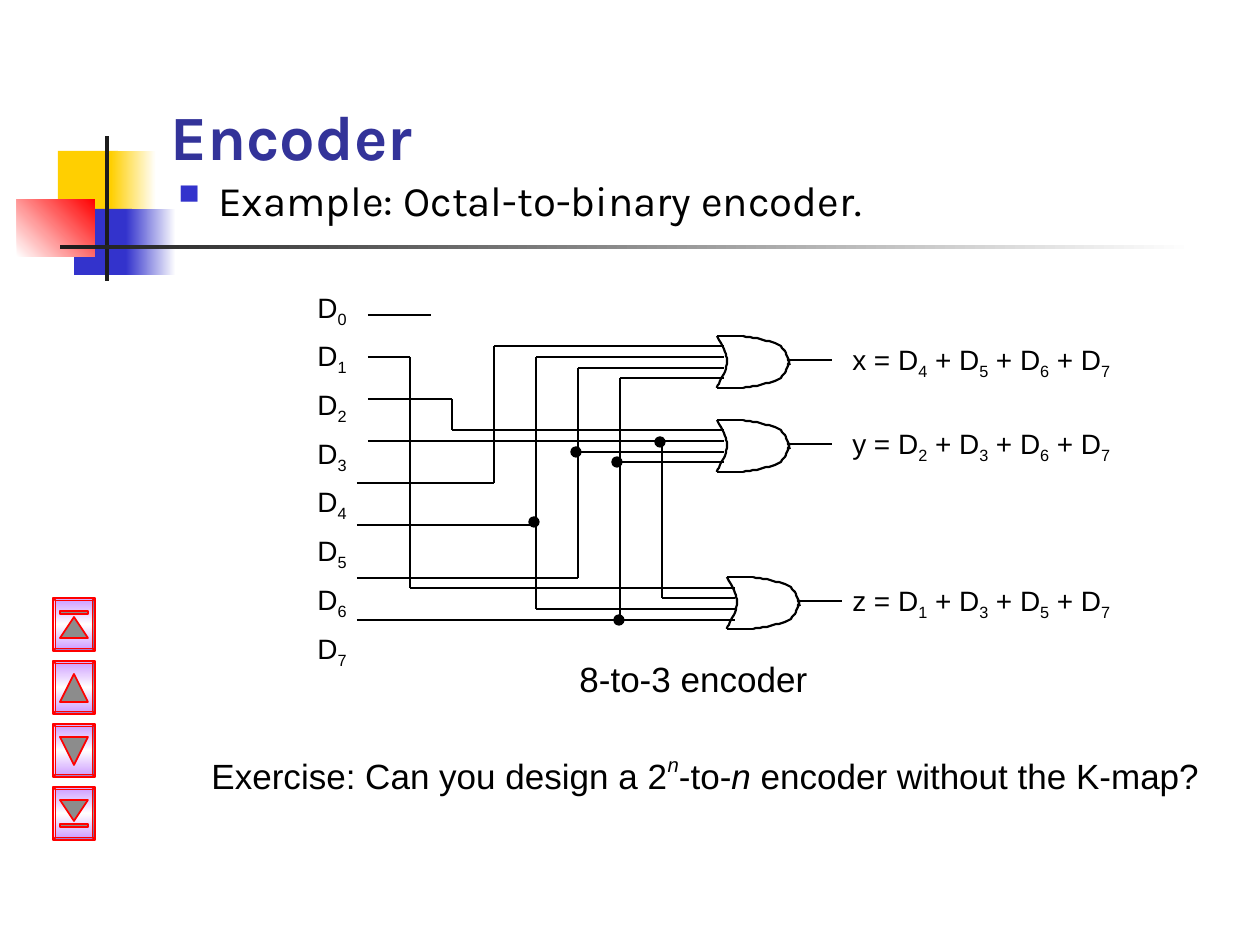
from copy import deepcopy
from itertools import groupby, pairwise

from lxml import etree
from pptx import Presentation
from pptx.dml.color import RGBColor
from pptx.enum.shapes import MSO_CONNECTOR, MSO_SHAPE
from pptx.enum.text import MSO_ANCHOR
from pptx.oxml.ns import qn
from pptx.util import Emu, Pt

RECT, OVAL, BEVEL = MSO_SHAPE.RECTANGLE, MSO_SHAPE.OVAL, MSO_SHAPE.BEVEL
UP, DOWN = MSO_SHAPE.ISOSCELES_TRIANGLE, MSO_SHAPE.FLOWCHART_MERGE
STRAIGHT = MSO_CONNECTOR.STRAIGHT
TOP, BOTTOM = MSO_ANCHOR.TOP, MSO_ANCHOR.BOTTOM

BLACK = RGBColor(0x00, 0x00, 0x00)
WHITE = RGBColor(0xFF, 0xFF, 0xFF)
CHARCOAL = RGBColor(0x1C, 0x1C, 0x1C)
GRAY = RGBColor(0x8C, 0x8C, 0x8C)
YELLOW = RGBColor(0xFF, 0xCF, 0x01)
BLUE = RGBColor(0x33, 0x33, 0xCC)
NAVY = RGBColor(0x33, 0x33, 0x99)
RED = RGBColor(0xFF, 0x00, 0x00)
LAVENDER = RGBColor(0xCC, 0x99, 0xFF)

EMU_PER_PX = 914400 / 126
SUBSCRIPT, SUPERSCRIPT = {"baseline": "-25000"}, {"baseline": "50000"}
ITALIC = {"i": "1"}


def px(length):
    return Emu(round(length * EMU_PER_PX))


def subscripted(expression):
    """Runs of an expression in which every digit is a subscript."""
    return [("".join(chars), SUBSCRIPT if is_digit else {})
            for is_digit, chars in groupby(expression, str.isdigit)]


def bezier(start, control_1, control_2, end, steps=12):
    """Points along a cubic curve, without its start."""
    for step in range(1, steps + 1):
        t = step / steps
        weights = ((1 - t) ** 3, 3 * t * (1 - t) ** 2, 3 * t * t * (1 - t), t ** 3)
        corners = (start, control_1, control_2, end)
        yield tuple(sum(w * corner[axis] for w, corner in zip(weights, corners))
                    for axis in (0, 1))


class Canvas:
    """Holds the slide and the drawing style."""

    wire_width = Pt(1.25)
    body_font = {"name": "Arial", "size": Pt(20), "color": BLACK}

    def __init__(self, slide):
        self.slide = slide
        self.shapes = slide.shapes

    def shape(self, kind, box, colors, angle=0, line=None, line_width=1):
        """Preset shape; several colours make a gradient."""
        shape = self.shapes.add_shape(kind, *map(px, box))
        shape.shadow.inherit = False
        if len(colors) == 1:
            shape.fill.solid()
            shape.fill.fore_color.rgb = colors[0]
        else:
            self.gradient(shape, colors, angle)
        if line is None:
            shape.line.fill.background()
        else:
            shape.line.color.rgb = line
            shape.line.width = Pt(line_width)
        return shape

    def gradient(self, shape, colors, angle):
        shape.fill.gradient()
        shape.fill.gradient_angle = angle
        stop_list = shape._element.spPr.find(".//" + qn("a:gsLst"))
        for _ in colors[2:]:
            stop_list.append(deepcopy(stop_list[0]))
        for index, (element, color) in enumerate(zip(stop_list, colors)):
            element.set("pos", str(100000 * index // (len(colors) - 1)))
            shape.fill.gradient_stops[index].color.rgb = color

    def wire(self, *points):
        for start, end in pairwise(points):
            wire = self.shapes.add_connector(STRAIGHT, *map(px, start + end))
            wire.line.color.rgb = BLACK
            wire.line.width = self.wire_width
            etree.SubElement(wire._element.spPr, qn("a:effectLst"))

    def curve(self, points):
        """Open outline through cubic segments of three points each."""
        outline = [points[0]]
        for first in range(0, len(points) - 1, 3):
            outline += bezier(*points[first:first + 4])
        builder = self.shapes.build_freeform(*outline[0], scale=EMU_PER_PX)
        builder.add_line_segments(outline[1:], close=False)
        curve = builder.convert_to_shape()
        curve.shadow.inherit = False
        curve.fill.background()
        curve.line.color.rgb = BLACK
        curve.line.width = self.wire_width

    def or_gate(self, left, top):
        height, shoulder, tip = 52, 26, 73
        back = [(0, 0), (5, 9), (10, 18), (10, 26), (10, 35), (1, 48), (0, height)]
        upper = [(shoulder, 0), (40, 2), (54, 5), (62, 9), (69, 14), (71, 22), (tip, 29)]
        lower = [(x, height - y) for x, y in upper]
        for points in (back, upper, lower):
            self.curve([(left + x, top + y) for x, y in points])
        for y in (top, top + height):
            self.wire((left, y), (left + shoulder, y))
        self.wire((left + tip, top + 24), (left + 115, top + 24))

    def junction(self, left, top):
        self.shape(OVAL, (left, top, 10, 10), [BLACK], line=BLACK, line_width=0.75)

    def button(self, top, arrow, arrow_top, arrow_height, bar_top=None):
        left = 53
        frame = self.shape(BEVEL, (left, top, 42, 53), [LAVENDER, WHITE, LAVENDER], 90, RED)
        frame.adjustments[0] = 0.06
        self.shape(arrow, (left + 7, top + arrow_top, 28, arrow_height), [GRAY], line=RED)
        if bar_top is not None:
            self.shape(RECT, (left + 7, top + bar_top, 28, 3), [GRAY], line=RED)

    def text(self, box, paragraphs, anchor=TOP, bullet=None, **font):
        """Text box; each paragraph is a list of (text, run attributes)."""
        frame = self.shapes.add_textbox(*map(px, box)).text_frame
        frame.word_wrap = True
        frame.vertical_anchor = anchor
        for index, runs in enumerate(paragraphs):
            paragraph = frame.add_paragraph() if index else frame.paragraphs[0]
            if bullet:
                self.bullet(paragraph, bullet)
            if index:
                paragraph.space_before = Pt(6)
            for words, attributes in runs:
                run = paragraph.add_run()
                run.text = words
                for name, value in (self.body_font | font).items():
                    if name == "color":
                        run.font.color.rgb = value
                    else:
                        setattr(run.font, name, value)
                for name, value in attributes.items():
                    run.font._element.set(name, value)

    def bullet(self, paragraph, mark):
        properties = paragraph._p.get_or_add_pPr()
        properties.set("marL", str(px(48)))
        properties.set("indent", str(-px(48)))
        color = etree.SubElement(properties, qn("a:buClr"))
        etree.SubElement(color, qn("a:srgbClr"), val=str(BLUE))
        etree.SubElement(properties, qn("a:buSzPct"), val="120000")
        etree.SubElement(properties, qn("a:buChar"), char=mark)


BACKDROP = [
    ((58, 151, 60, 66), [YELLOW], 0),
    ((111, 151, 45, 66), [YELLOW, WHITE], 0),
    ((74, 209, 58, 66), [BLUE], 0),
    ((126, 209, 50, 66), [BLUE, WHITE], 0),
    ((17, 199, 78, 58), [WHITE, RED], 45),
    ((105, 136, 4, 145), [CHARCOAL], 0),
    ((60, 245, 1134, 4), [CHARCOAL, WHITE], 0),
]
WIRES = [
    [(368, 315), (431, 315)],
    [(368, 357), (410, 357), (410, 588), (735, 588)],
    [(368, 399), (452, 399), (452, 430), (724, 430)],
    [(368, 441), (724, 441)],
    [(662, 441), (662, 598), (735, 598)],
    [(357, 483), (494, 483), (494, 346), (724, 346)],
    [(357, 525), (536, 525)],
    [(724, 357), (536, 357), (536, 609), (735, 609)],
    [(357, 578), (578, 578), (578, 368), (724, 368)],
    [(578, 452), (724, 452)],
    [(357, 620), (735, 620)],
    [(620, 620), (620, 378), (724, 378)],
    [(620, 462), (724, 462)],
]
JUNCTIONS = [(529, 517), (571, 447), (612, 457), (614, 615), (655, 437)]
GATES = [
    (717, 336, "x = D4 + D5 + D6 + D7"),
    (717, 420, "y = D2 + D3 + D6 + D7"),
    (727, 577, "z = D1 + D3 + D5 + D7"),
]
BUTTONS = [(UP, 19, 21, 13), (UP, 13, 28), (DOWN, 13, 28), (DOWN, 13, 21, 37)]
EXERCISE = [("Exercise: Can you design a 2", {}), ("n", ITALIC | SUPERSCRIPT),
            ("-to-", {}), ("n", ITALIC), (" encoder without the K-map?", {})]


def main():
    deck = Presentation()
    deck.slide_width, deck.slide_height = px(1260), px(945)
    canvas = Canvas(deck.slides.add_slide(deck.slide_layouts[6]))

    for box, colors, angle in BACKDROP:
        canvas.shape(RECT, box, colors, angle)
    canvas.text((158, 21, 1071, 158), [[("Encoder", {})]], BOTTOM,
                name="Karla", size=Pt(36), color=NAVY, bold=True)
    canvas.text((158, 168, 1071, 84), [[("Example: Octal-to-binary encoder.", {})]],
                bullet="▪", name="Karla", size=Pt(24))
    canvas.text((199, 746, 1030, 58), [EXERCISE])
    canvas.text((567, 651, 284, 55), [[("8-to-3 encoder", {})]])

    canvas.text((305, 284, 60, 392), [subscripted(f"D{i}") for i in range(8)], size=Pt(16))
    for points in WIRES:
        canvas.wire(*points)
    for corner in JUNCTIONS:
        canvas.junction(*corner)
    for left, top, equation in GATES:
        canvas.or_gate(left, top)
        canvas.text((840, top, 325, 52), [subscripted(equation)], size=Pt(16))
    for index, parts in enumerate(BUTTONS):
        canvas.button(598 + 63 * index, *parts)

    deck.save("out.pptx")


if __name__ == "__main__":
    main()
